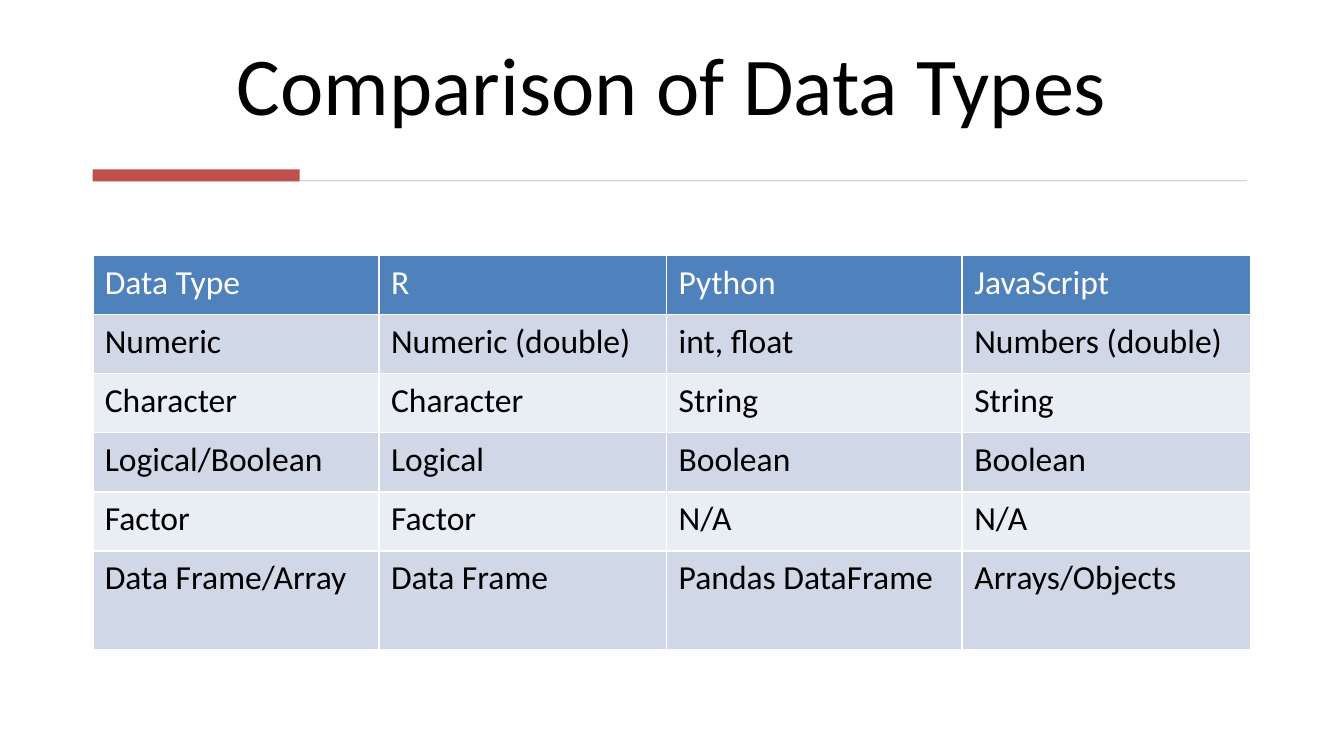
from lxml import etree
from pptx import Presentation
from pptx.dml.color import RGBColor
from pptx.enum.shapes import MSO_SHAPE
from pptx.enum.text import MSO_ANCHOR, PP_ALIGN
from pptx.oxml.ns import qn
from pptx.util import Inches, Pt

RECT = MSO_SHAPE.RECTANGLE
BOTTOM = MSO_ANCHOR.BOTTOM
LEFT, CENTER = PP_ALIGN.LEFT, PP_ALIGN.CENTER

FONT = "Calibri"
WHITE, BLACK = "FFFFFF", "000000"
BLUE, RED, GRAY = "4F81BD", "C0504D", "D5D5D5"
BANDS = ("D0D8E8", "E9EDF4")

EDGE = 0.69
COLS = (2.13, 2.14, 2.2, 2.15)
ROWS = (0.44,) * 5 + (0.74,)
TYPES = (
    ("Data Type", "R", "Python", "JavaScript"),
    ("Numeric", "Numeric (double)", "int, float", "Numbers (double)"),
    ("Character", "Character", "String", "String"),
    ("Logical/Boolean", "Logical", "Boolean", "Boolean"),
    ("Factor", "Factor", "N/A", "N/A"),
    ("Data Frame/Array", "Data Frame", "Pandas DataFrame", "Arrays/Objects"),
)


def color(code):
    return RGBColor.from_string(code)


def write(frame, text, size=18, ink=BLACK, align=LEFT, space=1.0):
    para = frame.paragraphs[0]
    para.alignment = align
    para.line_spacing = space
    run = para.add_run()
    run.text = text
    run.font.name = FONT
    run.font.size = Pt(size)
    run.font.color.rgb = color(ink)


def add_title(slide, text):
    box = slide.shapes.add_textbox(
        Inches(EDGE), Inches(0.21), Inches(8.62), Inches(0.83))
    frame = box.text_frame
    frame.word_wrap = True
    frame.vertical_anchor = BOTTOM
    write(frame, text, size=44, align=CENTER, space=0.9)


def add_bar(slide, left, top, width, height, fill):
    bar = slide.shapes.add_shape(
        RECT, Inches(left), Inches(top), Inches(width), Inches(height))
    bar.shadow.inherit = False
    bar.fill.solid()
    bar.fill.fore_color.rgb = color(fill)
    bar.line.fill.background()


def set_edges(cell):
    """Draw thin white borders around a cell."""
    props = cell._tc.get_or_add_tcPr()
    for side in "LRTB":
        line = etree.SubElement(props, qn(f"a:ln{side}"), w=str(Pt(1)))
        fill = etree.SubElement(line, qn("a:solidFill"))
        etree.SubElement(fill, qn("a:srgbClr"), val=WHITE)


def add_grid(slide, left, top):
    grid = slide.shapes.add_table(
        len(ROWS), len(COLS), Inches(left), Inches(top),
        Inches(sum(COLS)), Inches(sum(ROWS))).table
    for col, width in zip(grid.columns, COLS):
        col.width = Inches(width)
    for row, height in zip(grid.rows, ROWS):
        row.height = Inches(height)

    for r, names in enumerate(TYPES):
        head = r == 0
        for c, name in enumerate(names):
            cell = grid.cell(r, c)
            cell.margin_left = cell.margin_right = Inches(0.09)
            cell.margin_top = cell.margin_bottom = Inches(0.05)
            set_edges(cell)
            cell.fill.solid()
            cell.fill.fore_color.rgb = color(
                BLUE if head else BANDS[(r - 1) % 2])
            write(cell.text_frame, name, ink=WHITE if head else BLACK)


def main():
    # Widescreen page, 16 to 9
    deck = Presentation()
    deck.slide_width = Inches(10)
    deck.slide_height = Inches(10 * 9 / 16)
    slide = deck.slides.add_slide(deck.slide_layouts[6])

    # Title with its rule and accent
    add_title(slide, "Comparison of Data Types")
    add_bar(slide, 0.71, 1.34, 8.57, 0.01, GRAY)
    add_bar(slide, EDGE, 1.26, 1.54, 0.09, RED)

    # Data types by language
    add_grid(slide, EDGE, 1.9)

    deck.save("out.pptx")


if __name__ == "__main__":
    main()
